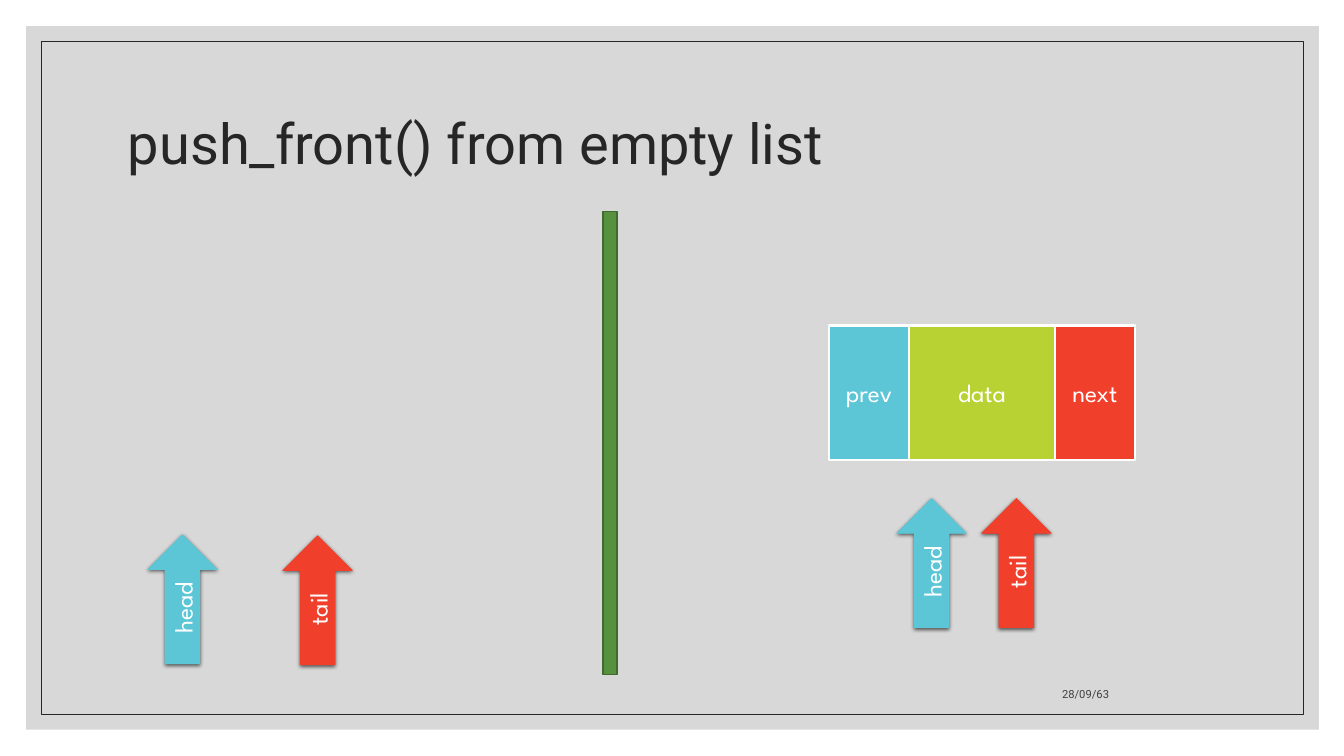
from lxml.etree import SubElement
from pptx import Presentation
from pptx.dml.color import RGBColor
from pptx.enum.shapes import MSO_SHAPE
from pptx.enum.text import MSO_ANCHOR, PP_ALIGN
from pptx.oxml import parse_xml
from pptx.oxml.ns import nsdecls, qn
from pptx.util import Pt

# Content: lengths in px, 100 px to the inch
TITLE = "push_front() from empty list"
DATE = "28/09/63"
NODE_LEFT, NODE_TOP, NODE_H = 822, 323, 133
NODE_FIELDS = [("prev", 80, "blue"), ("data", 144, "lime"), ("next", 80, "red")]
ARROW_W, ARROW_H = 128, 69
POINTERS = [  # label, left, top, colour
    ("head", 117, 560, "blue"),
    ("tail", 251, 561, "red"),
    ("head", 860, 524, "blue"),
    ("tail", 944, 524, "red"),
]

THEME = {
    "panel": "BFBFBF", "ink": "262626", "date": "404040", "white": "FFFFFF",
    "blue": "5CC6D6", "lime": "B8D233", "red": "F03F2B",
    "green": "57903F", "dark_green": "406B2F",
    "title_font": "Roboto", "label_font": "League Spartan",
    "title_size": 40, "label_size": 18, "date_size": 8,
}
SLIDE_W, SLIDE_H = 1333, 750
EMU_PER_PX = 9144


def px(*lengths):
    return [n * EMU_PER_PX for n in lengths]


def color(name):
    return RGBColor.from_string(THEME[name])


def add_box(shapes, kind, box, fill=None, line=None, width=1):
    s = shapes.add_shape(kind, *px(*box))
    s.shadow.inherit = False
    if fill:
        s.fill.solid()
        s.fill.fore_color.rgb = color(fill)
    else:
        s.fill.background()
    if line:
        s.line.color.rgb = color(line)
        s.line.width = Pt(width)
    else:
        s.line.fill.background()
    return s


def set_text(s, text, role, ink, align, anchor):
    tf = s.text_frame
    tf.word_wrap = True
    tf.vertical_anchor = anchor
    p = tf.paragraphs[0]
    p.text = text
    p.alignment = align
    p.font.name = THEME["label_font" if role == "label" else "title_font"]
    p.font.size = Pt(THEME[role + "_size"])
    p.font.color.rgb = color(ink)
    return p


def add_label(s, text):
    set_text(s, text, "label", "white", PP_ALIGN.CENTER, MSO_ANCHOR.MIDDLE)


def add_shadow(s):
    effects = s._element.spPr.find(qn("a:effectLst"))
    effects.append(parse_xml(
        f'<a:outerShdw {nsdecls("a")} blurRad="{Pt(3)}" dist="{Pt(1)}" '
        'dir="5400000" algn="ctr" rotWithShape="0"><a:srgbClr val="000000">'
        '<a:alpha val="63000"/></a:srgbClr></a:outerShdw>'))


def main():
    prs = Presentation()
    prs.slide_width, prs.slide_height = px(SLIDE_W, SLIDE_H)
    shapes = prs.slides.add_slide(prs.slide_layouts[6]).shapes

    # Translucent panel and thin frame
    panel = add_box(shapes, MSO_SHAPE.RECTANGLE, (26, 26, 1282, 698), "panel")
    tint = panel._element.spPr.find(qn("a:solidFill"))[0]
    SubElement(tint, qn("a:alpha"), val="60000")
    add_box(shapes, MSO_SHAPE.RECTANGLE, (41, 41, 1252, 668), None, "ink", 0.5)

    # Title and date
    title = shapes.add_textbox(*px(117, 70, 1100, 150))
    p = set_text(title, TITLE, "title", "ink", PP_ALIGN.LEFT, MSO_ANCHOR.MIDDLE)
    p.line_spacing = 0.9
    date = shapes.add_textbox(*px(794, 660, 316, 40))
    set_text(date, DATE, "date", "date", PP_ALIGN.RIGHT, MSO_ANCHOR.BOTTOM)

    # List node: fields side by side
    node = shapes.add_group_shape()
    left = NODE_LEFT
    for text, width, fill in NODE_FIELDS:
        field = add_box(node.shapes, MSO_SHAPE.RECTANGLE,
                        (left, NODE_TOP, width, NODE_H), fill, "white", 1.5)
        add_label(field, text)
        left += width

    # Divider between before and after
    add_box(shapes, MSO_SHAPE.RECTANGLE, (598, 210, 14, 459), "green", "dark_green")

    # Head and tail pointers, turned upwards
    for text, left, top, fill in POINTERS:
        arrow = add_box(shapes, MSO_SHAPE.RIGHT_ARROW,
                        (left, top, ARROW_W, ARROW_H), fill, fill, 0.5)
        arrow.rotation = 270
        add_shadow(arrow)
        add_label(arrow, text)

    prs.save("out.pptx")


if __name__ == "__main__":
    main()
